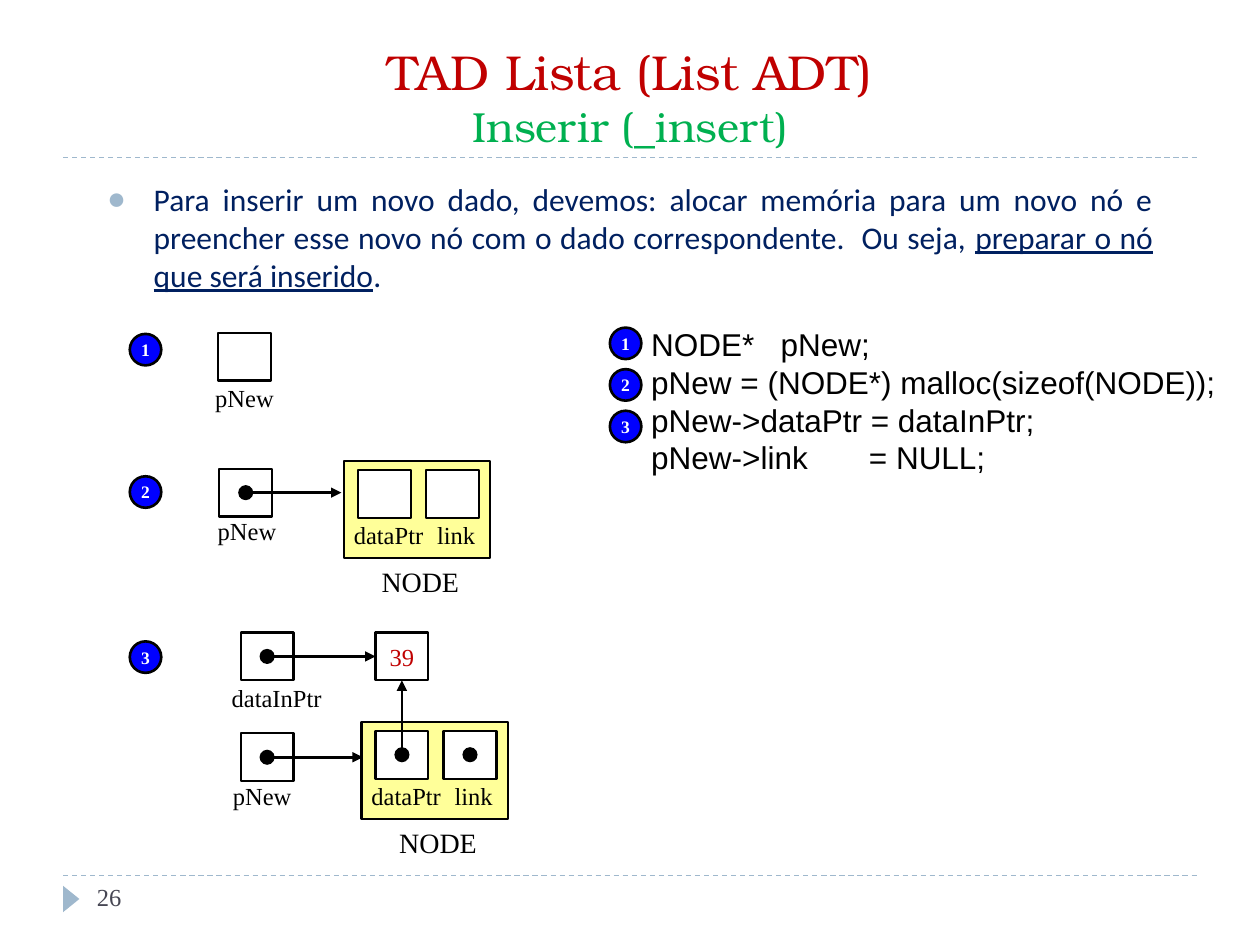
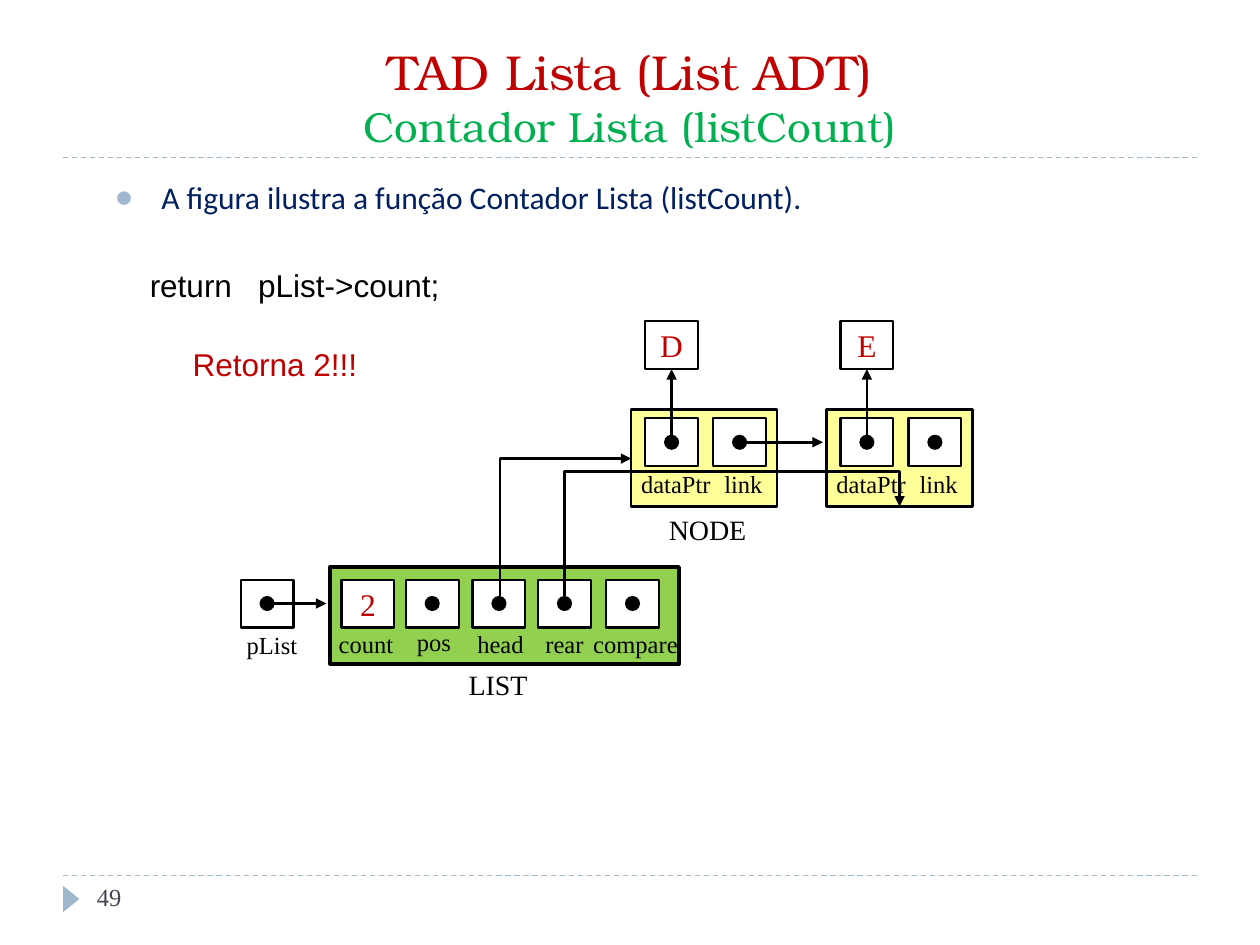
"""Build two slides on the list ADT: inserting a node and counting the list."""
from copy import deepcopy

from lxml import etree
from pptx import Presentation
from pptx.dml.color import RGBColor
from pptx.enum.dml import MSO_LINE
from pptx.enum.shapes import MSO_CONNECTOR, MSO_SHAPE
from pptx.enum.text import MSO_ANCHOR, MSO_AUTO_SIZE, PP_ALIGN
from pptx.oxml.ns import qn
from pptx.util import Inches, Pt

COLORS = {
    "black": "000000",
    "white": "FFFFFF",
    "red": "C00000",
    "green": "00B050",
    "navy": "002060",
    "badge": "0000FF",
    "node": "FFFF99",
    "list": "92D050",
    "accent": "9FB8CD",
    "page": "464653",
}
SERIF = "Times New Roman"
TITLE_FONT = "TeX Gyre Bonum"
CELL_W, CELL_H = 0.42, 0.38
DOT = 0.12


def rgb(name):
    return RGBColor.from_string(COLORS[name])


def write(p, text, size=14, font=SERIF, color="black", bold=None, underline=None):
    r = p.add_run()
    r.text = text
    r.font.size = Pt(size)
    r.font.name = font
    r.font.color.rgb = rgb(color)
    r.font.bold = bold
    r.font.underline = underline
    return r


def add_box(slide, kind, x, y, w, h, fill, line=1.25):
    sp = slide.shapes.add_shape(kind, Inches(x), Inches(y), Inches(w), Inches(h))
    sp.shadow.inherit = False
    sp.fill.solid()
    sp.fill.fore_color.rgb = rgb(fill)
    if line:
        sp.line.color.rgb = rgb("black")
        sp.line.width = Pt(line)
    else:
        sp.line.fill.background()
    return sp


def add_centered(sp, text, **fmt):
    tf = sp.text_frame
    tf.word_wrap = False
    tf.vertical_anchor = MSO_ANCHOR.MIDDLE
    p = tf.paragraphs[0]
    p.alignment = PP_ALIGN.CENTER
    write(p, text, **fmt)


def add_label(slide, x, y, w, h, *lines, **fmt):
    tf = slide.shapes.add_textbox(Inches(x), Inches(y), Inches(w), Inches(h)).text_frame
    tf.word_wrap = False
    for i, line in enumerate(lines):
        p = tf.add_paragraph() if i else tf.paragraphs[0]
        write(p, line, **fmt)


def add_badge(slide, x, y, number):
    sp = add_box(slide, MSO_SHAPE.OVAL, x, y, 0.25, 0.25, "badge", 1.5)
    add_centered(sp, str(number), size=10, color="white", bold=True)


def add_cell(slide, x, y, text=None, size=18, dot=False):
    sp = add_box(slide, MSO_SHAPE.RECTANGLE, x, y, CELL_W, CELL_H, "white")
    if text:
        add_centered(sp, text, size=size, color="red")
    if dot:
        add_box(slide, MSO_SHAPE.OVAL, x + (CELL_W - DOT) / 2, y + (CELL_H - DOT) / 2,
                DOT, DOT, "black", None)
    return sp


def style_line(line, color, width):
    line.line.color.rgb = rgb(color)
    line.line.width = Pt(width)
    etree.SubElement(line.element.spPr, qn("a:effectLst"))


def add_arrowhead(line):
    style_line(line, "black", 1.5)
    etree.SubElement(line.element.spPr.find(qn("a:ln")), qn("a:tailEnd"), type="triangle")


def add_arrow(slide, cell, tip_x=None, target=None, site=2):
    x, y = cell.left + cell.width // 2, cell.top + cell.height // 2
    tip = x if tip_x is None else Inches(tip_x)
    line = slide.shapes.add_connector(MSO_CONNECTOR.STRAIGHT, x, y, tip, y)
    if target is not None:
        line.end_connect(target, site)
    add_arrowhead(line)


def add_elbow(slide, start, end, preset, bend=None):
    (x1, y1), (x2, y2) = start, end
    w, h = y1 - y2, x2 - x1
    left, top = (x1 + x2 - w) / 2, (y1 + y2 - h) / 2
    line = slide.shapes.add_connector(MSO_CONNECTOR.ELBOW, Inches(left), Inches(top),
                                      Inches(left + w), Inches(top + h))
    spPr = line.element.spPr
    spPr.find(qn("a:xfrm")).set("rot", str(270 * 60000))
    geom = spPr.find(qn("a:prstGeom"))
    geom.set("prst", preset)
    if bend:
        etree.SubElement(geom.find(qn("a:avLst")), qn("a:gd"), name="adj1",
                         fmla=f"val {round(bend * 100000)}")
    add_arrowhead(line)


def add_node(slide, x, y, dots=False, caption=True):
    add_box(slide, MSO_SHAPE.RECTANGLE, x, y, 1.16, 0.77, "node")
    add_label(slide, x - 0.02, y + 0.42, 0.76, 0.34, "dataPtr")
    add_label(slide, x + 0.64, y + 0.42, 0.51, 0.34, "link")
    if caption:
        add_label(slide, x + 0.2, y + 0.77, 0.82, 0.37, "NODE", size=16)
    return [add_cell(slide, x + dx, y + 0.07, dot=dots) for dx in (0.11, 0.65)]


def add_layout_decor(layout, slide):
    parts = []
    for y in (6.95, 1.25):
        line = slide.shapes.add_connector(MSO_CONNECTOR.STRAIGHT, Inches(0.5), Inches(y),
                                          Inches(9.5), Inches(y))
        style_line(line, "accent", 0.75)
        line.line.dash_style = MSO_LINE.DASH
        parts.append(line)
    marker = add_box(slide, MSO_SHAPE.ISOSCELES_TRIANGLE, 0.46, 7.07, 0.21, 0.13, "accent", None)
    marker.rotation = 90
    for i, part in enumerate(parts + [marker]):
        part.element.xpath(".//p:cNvPr")[0].set("id", str(20 + i))
        layout.shapes.element.append(part.element)


def place(sp, x, y, w, h):
    sp.left, sp.top, sp.width, sp.height = Inches(x), Inches(y), Inches(w), Inches(h)


def add_title(slide, subtitle):
    place(slide.shapes.title, 0.5, 0.25, 9, 1)
    tf = slide.shapes.title.text_frame
    tf.auto_size = MSO_AUTO_SIZE.NONE
    tf.vertical_anchor = MSO_ANCHOR.BOTTOM
    p = tf.paragraphs[0]
    p.alignment = PP_ALIGN.CENTER
    r = write(p, "TAD Lista (List ADT)", size=28, font=TITLE_FONT, color="red")
    p.add_line_break()
    p._p[-1].append(deepcopy(r._r.rPr))
    write(p, subtitle, size=24, font=TITLE_FONT, color="green")


def add_body(slide, x, y, h, *runs):
    body = slide.placeholders[1]
    place(body, x, y, 8.5, h)
    tf = body.text_frame
    tf.auto_size = MSO_AUTO_SIZE.NONE
    p = tf.paragraphs[0]
    p.alignment = PP_ALIGN.JUSTIFY
    p.space_before = Pt(0)
    pPr = p._p.get_or_add_pPr()
    pPr.set("marL", str(Inches(0.37)))
    pPr.set("indent", str(Inches(-0.37)))
    color = etree.SubElement(pPr, qn("a:buClr"))
    etree.SubElement(color, qn("a:srgbClr"), val=COLORS["accent"])
    etree.SubElement(pPr, qn("a:buChar"), char="●")
    for text, underline in runs:
        write(p, text, size=18, font="Calibri", color="navy", underline=underline)


def add_slide(prs, subtitle, page):
    slide = prs.slides.add_slide(prs.slide_layouts[1])
    add_title(slide, subtitle)
    add_label(slide, 0.67, 6.95, 2.17, 0.4, page, color="page")
    return slide


def build_insert(slide):
    add_body(slide, 0.75, 1.38, 0.98,
             ("Para inserir um novo dado, devemos: alocar memória para um novo nó e preencher "
              "esse novo nó com o dado correspondente.  Ou seja, ", None),
             ("preparar o nó que será inserido", True), (".", False))
    add_label(slide, 5.07, 2.53, 4.78, 1.31, "NODE*   pNew;",
              "pNew = (NODE*) malloc(sizeof(NODE));", "pNew->dataPtr = dataInPtr;",
              "pNew->link       = NULL;", size=18, font="Arial")
    for i, y in enumerate((2.65, 3.78, 5.09)):
        add_badge(slide, 1.03, y, i + 1)
        add_badge(slide, 4.84, 2.6 + 0.33 * i, i + 1)

    add_cell(slide, 1.73, 2.64)
    add_label(slide, 1.61, 2.99, 0.67, 0.34, "pNew")

    add_node(slide, 2.73, 3.66)
    new_ptr = add_cell(slide, 1.74, 3.72, dot=True)
    add_label(slide, 1.63, 4.05, 0.67, 0.34, "pNew")
    add_arrow(slide, new_ptr, 2.71)

    data_in = add_cell(slide, 1.91, 5.02, dot=True)
    add_label(slide, 1.74, 5.37, 0.92, 0.34, "dataInPtr")
    value = add_cell(slide, 2.98, 5.02, "39", size=14)
    add_arrow(slide, data_in, target=value, site=1)
    data_ptr, _ = add_node(slide, 2.87, 5.73, dots=True)
    add_arrow(slide, data_ptr, target=value)
    new_ptr = add_cell(slide, 1.91, 5.82, dot=True)
    add_label(slide, 1.75, 6.15, 0.67, 0.34, "pNew")
    add_arrow(slide, new_ptr, 2.88)


def build_count(slide):
    add_body(slide, 0.81, 1.36, 0.49,
             ("A figura ilustra a função Contador Lista (listCount).", None))
    add_label(slide, 1.09, 2.06, 2.52, 0.4, "return   pList->count;", size=18, font="Arial")
    add_label(slide, 1.43, 2.69, 1.52, 0.4, "Retorna 2!!!", size=18, font="Arial", color="red")

    links = []
    for x, letter in ((5.01, "D"), (6.56, "E")):
        data_ptr, link = add_node(slide, x, 3.25, dots=True, caption=letter == "D")
        value = add_cell(slide, x + 0.11, 2.55, letter)
        add_arrow(slide, data_ptr, target=value)
        links.append(link)
    add_arrow(slide, links[0], 6.53)

    list_ptr = add_cell(slide, 1.91, 4.6, dot=True)
    add_label(slide, 1.86, 4.95, 0.61, 0.34, "pList")
    add_arrow(slide, list_ptr, 2.59)

    add_box(slide, MSO_SHAPE.RECTANGLE, 2.62, 4.5, 2.77, 0.77, "list", 2)
    add_label(slide, 3.62, 5.25, 0.68, 0.37, "LIST", size=16)
    fields = (
        ("count", 2.71, 2.59, 0.64, "2"),
        ("pos", 3.22, 3.21, 0.48, None),
        ("head", 3.75, 3.69, 0.57, None),
        ("rear", 4.27, 4.23, 0.51, None),
        ("compare", 4.81, 4.61, 0.88, None),
    )
    for name, cell_x, label_x, label_w, value in fields:
        add_cell(slide, cell_x, 4.6, value, dot=value is None)
        label_y = 4.93 if name == "pos" else 4.94
        add_label(slide, label_x, label_y, label_w, 0.34, name)
    add_elbow(slide, (3.97, 4.73), (5.01, 3.64), "bentConnector2")
    add_elbow(slide, (4.48, 4.73), (7.14, 4.02), "bentConnector3", bend=1.39)


def main():
    prs = Presentation()
    prs.slide_width, prs.slide_height = Inches(10), Inches(7.5)
    insert = add_slide(prs, "Inserir (_insert)", "26")
    add_layout_decor(prs.slide_layouts[1], insert)
    build_insert(insert)
    build_count(add_slide(prs, "Contador Lista (listCount)", "49"))
    prs.save("out.pptx")


if __name__ == "__main__":
    main()
